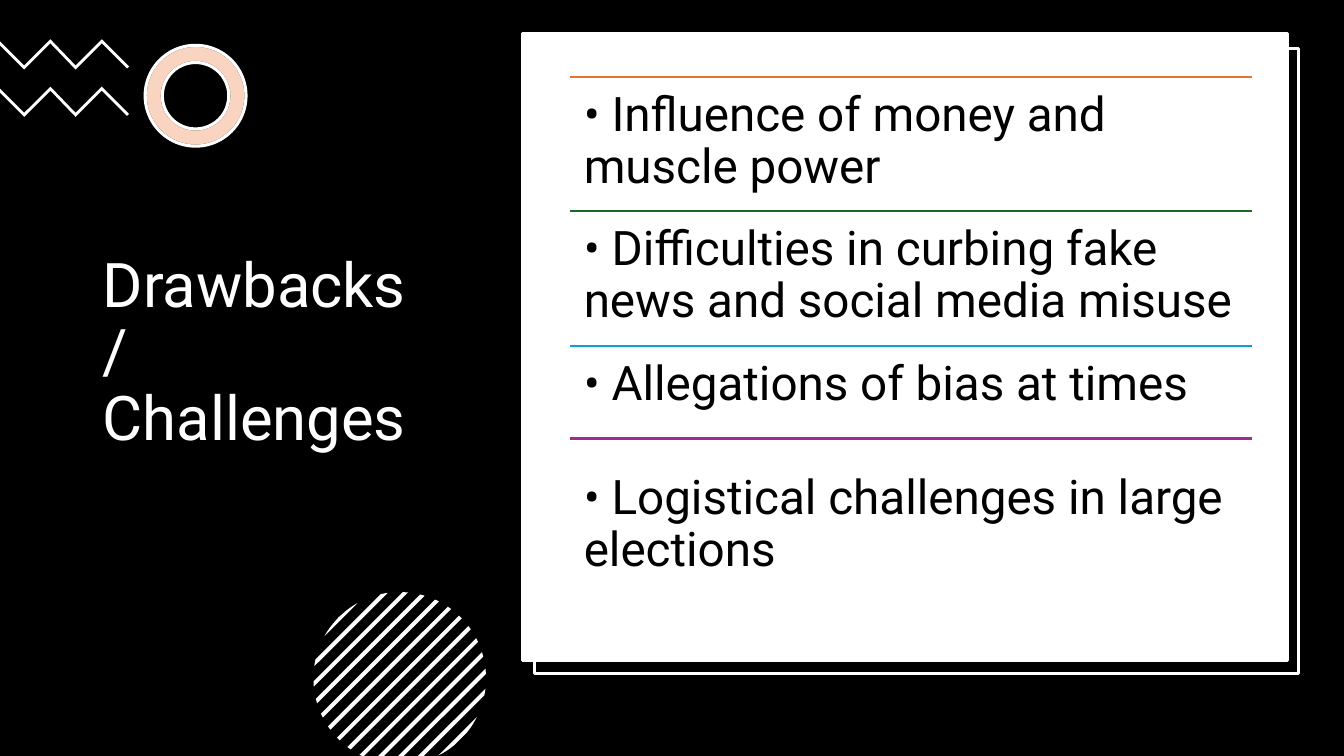
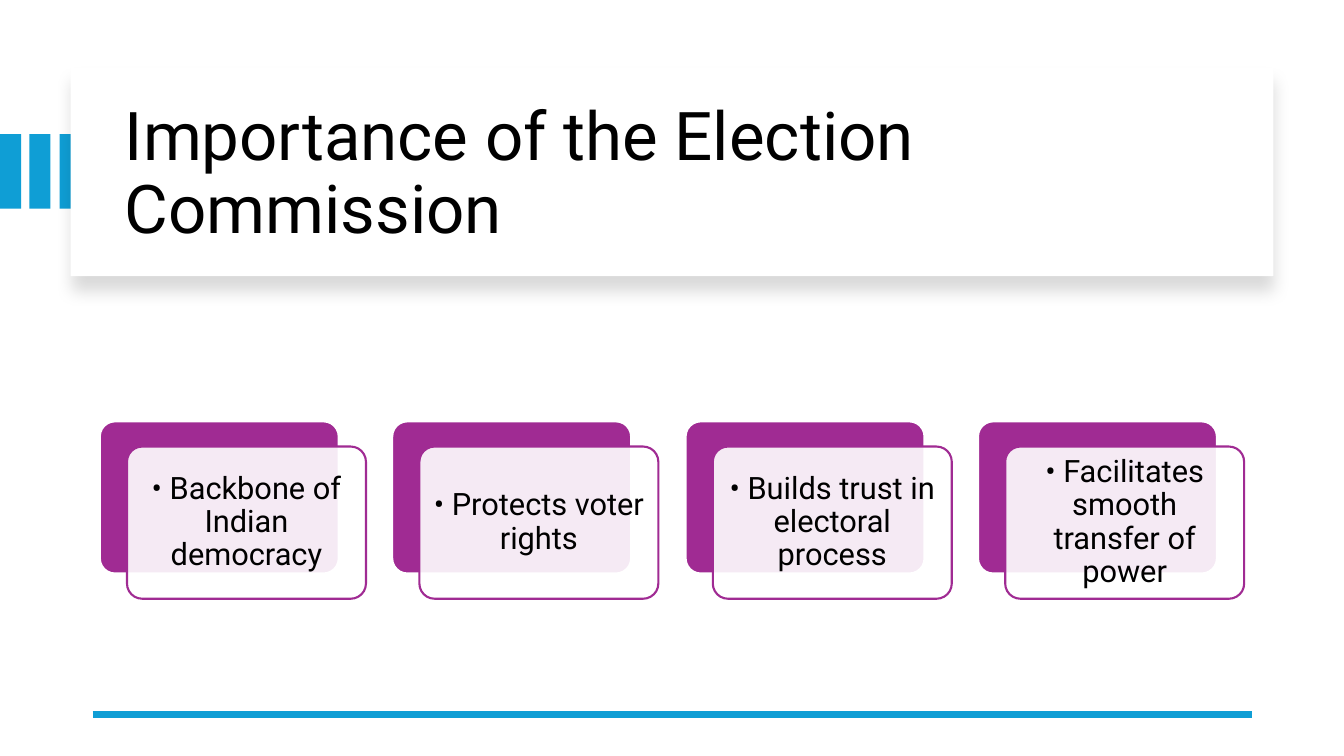
import dataclasses
import math

import lxml.etree
import pptx
import pptx.dml.color
import pptx.enum.shapes
import pptx.enum.text
import pptx.oxml.ns
import pptx.util

PX = 9144
SHAPE = pptx.enum.shapes.MSO_SHAPE
ANCHOR = pptx.enum.text.MSO_ANCHOR
ALIGN = pptx.enum.text.PP_ALIGN
qn = pptx.oxml.ns.qn


@dataclasses.dataclass(frozen=True)
class Theme:
    font: str = "Roboto"
    black: str = "000000"
    white: str = "FFFFFF"
    orange: str = "E97132"
    green: str = "196B24"
    blue: str = "0F9ED5"
    purple: str = "A02B93"
    side_title: int = 44
    wide_title: int = 48
    drawback: int = 34
    benefit: int = 22
    hairline: float = 1.5
    outline: float = 2.25
    rule: float = 4.5


theme = Theme()


def paint(shape, fill, line=None, width=theme.hairline, opacity=100):
    shape.shadow.inherit = False
    shape.fill.solid()
    shape.fill.fore_color.rgb = pptx.dml.color.RGBColor.from_string(fill)
    if opacity < 100:
        tint = shape._element.spPr.find(qn("a:solidFill"))[0]
        lxml.etree.SubElement(tint, qn("a:alpha"), val=str(opacity * 1000))
    if line:
        shape.line.color.rgb = pptx.dml.color.RGBColor.from_string(line)
        shape.line.width = pptx.util.Pt(width)
    else:
        shape.line.fill.background()


def write(shape, text, size, color, anchor=ANCHOR.MIDDLE, align=ALIGN.LEFT, inset=(10, 5)):
    frame = shape.text_frame
    paragraph = frame.paragraphs[0]
    run = paragraph.add_run()
    across, down = (side * PX for side in inset)
    formats = (
        (frame, {"word_wrap": True, "vertical_anchor": anchor,
                 "margin_left": across, "margin_right": across,
                 "margin_top": down, "margin_bottom": down}),
        (paragraph, {"alignment": align, "line_spacing": 0.9}),
        (run, {"text": text}),
        (run.font, {"name": theme.font, "size": pptx.util.Pt(size)}),
        (run.font.color, {"rgb": pptx.dml.color.RGBColor.from_string(color)}),
    )
    for target, values in formats:
        for attribute, value in values.items():
            setattr(target, attribute, value)


deck = pptx.Presentation()
deck.slide_width = 1333 * PX
deck.slide_height = 750 * PX
blank = deck.slide_layouts[6]

drawbacks_slide = deck.slides.add_slide(blank)
backdrop = drawbacks_slide.background.fill
backdrop.solid()
backdrop.fore_color.rgb = pptx.dml.color.RGBColor.from_string(theme.black)

zigzag = [(50, 39), (75, 65), (101, 39), (128, 66), (126, 68), (101, 43),
          (75, 69), (50, 43), (24, 69), (0, 45), (0, 41), (24, 65)]
outlines = [[(x, y + drop) for x, y in zigzag] for drop in (0, 47)]

center_x, center_y, radius = 396.5, 673, 85.6
stripe_count, stripe_pitch, stripe_width, first_stripe = 13, 19.75, 5.6, 947.4
samples = 6
for stripe in range(stripe_count):
    upper_ends, lower_ends = [], []
    for sample in range(samples + 1):
        diagonal = first_stripe + stripe * stripe_pitch + stripe_width * sample / samples
        offset = (diagonal - center_x - center_y) / 2
        reach = math.sqrt(max(0, radius ** 2 / 2 - offset ** 2))
        upper_ends.append((center_x + offset + reach, center_y + offset - reach))
        low_y = min(center_y + offset + reach, 750)
        lower_ends.append((diagonal - low_y, low_y))
    outlines.append(upper_ends + lower_ends[::-1])

for outline in outlines:
    points = [(x * PX, y * PX) for x, y in outline]
    pen = drawbacks_slide.shapes.build_freeform(*points[0])
    pen.add_line_segments(points[1:], close=True)
    paint(pen.convert_to_shape(), theme.white)

for fill, line, opacity in ((theme.white, theme.black, 100), (theme.orange, theme.white, 30)):
    ring = drawbacks_slide.shapes.add_shape(SHAPE.DONUT, 144 * PX, 45 * PX, 100 * PX, 100 * PX)
    ring.adjustments[0] = 0.17
    paint(ring, fill, line, theme.outline, opacity)

side_title = drawbacks_slide.shapes.add_textbox(92 * PX, 131 * PX, 350 * PX, 440 * PX)
write(side_title, "Drawbacks / Challenges", theme.side_title, theme.white)

for left, top, width, height, fill in ((530, 48, 758, 620, theme.black),
                                       (518, 33, 759, 622, theme.white)):
    panel = drawbacks_slide.shapes.add_shape(SHAPE.RECTANGLE, left * PX, top * PX,
                                             width * PX, height * PX)
    paint(panel, fill, theme.white, theme.outline)

drawbacks = (
    (76, 76, theme.orange, "• Influence of money and muscle power"),
    (209, 209, theme.green, "• Difficulties in curbing fake news and social media misuse"),
    (343, 343, theme.blue, "• Allegations of bias at times"),
    (435, 456, theme.purple, "• Logistical challenges in large elections"),
)
dividers = [(drawbacks_slide, 565, 1242, y, color, theme.hairline)
            for y, _, color, _ in drawbacks]
for _, top, _, drawback in drawbacks:
    entry = drawbacks_slide.shapes.add_textbox(565 * PX, top * PX, 676 * PX, 134 * PX)
    write(entry, drawback, theme.drawback, theme.black, ANCHOR.TOP, inset=(14, 14))

importance_slide = deck.slides.add_slide(blank)
for bar in range(3):
    accent = importance_slide.shapes.add_shape(SHAPE.RECTANGLE, bar * 59 // 2 * PX, 133 * PX,
                                               21 * PX, 74 * PX)
    paint(accent, theme.blue)

banner = importance_slide.shapes.add_shape(SHAPE.RECTANGLE, 70 * PX, 67 * PX, 1193 * PX, 207 * PX)
paint(banner, theme.white)
shadow = lxml.etree.SubElement(
    banner._element.spPr.find(qn("a:effectLst")), qn("a:outerShdw"),
    blurRad=str(pptx.util.Pt(11)), dist=str(pptx.util.Pt(10)), dir="5400000",
    algn="t", rotWithShape="0")
shade = lxml.etree.SubElement(shadow, qn("a:srgbClr"), val=theme.black)
lxml.etree.SubElement(shade, qn("a:alpha"), val="15000")

wide_title = importance_slide.shapes.add_textbox(114 * PX, 89 * PX, 1113 * PX, 170 * PX)
write(wide_title, "Importance of the Election Commission", theme.wide_title, theme.black)

dividers.append((importance_slide, 92, 1242, 709, theme.blue, theme.rule))
for slide, start, end, y, color, width in dividers:
    divider = slide.shapes.add_connector(pptx.enum.shapes.MSO_CONNECTOR.STRAIGHT,
                                         start * PX, y * PX, end * PX, y * PX)
    divider.line.color.rgb = pptx.dml.color.RGBColor.from_string(color)
    divider.line.width = pptx.util.Pt(width)
    lxml.etree.SubElement(divider._element.spPr, qn("a:effectLst"))

benefits = (
    "• Backbone of Indian democracy",
    "• Protects voter rights",
    "• Builds trust in electoral process",
    "• Facilitates smooth transfer of power",
)
for column, benefit in enumerate(benefits):
    left = 99 + round(column * 871 / 3)
    for shift_x, shift_y, fill, line, opacity in ((0, 0, theme.purple, theme.white, 100),
                                                  (27, 25, theme.white, theme.purple, 90)):
        card = importance_slide.shapes.add_shape(
            SHAPE.ROUNDED_RECTANGLE, (left + shift_x) * PX, (418 + shift_y) * PX,
            237 * PX, 151 * PX)
        card.adjustments[0] = 0.1
        paint(card, fill, line, opacity=opacity)
    write(card, benefit, theme.benefit, theme.black, align=ALIGN.CENTER, inset=(9, 9))

deck.save("out.pptx")
